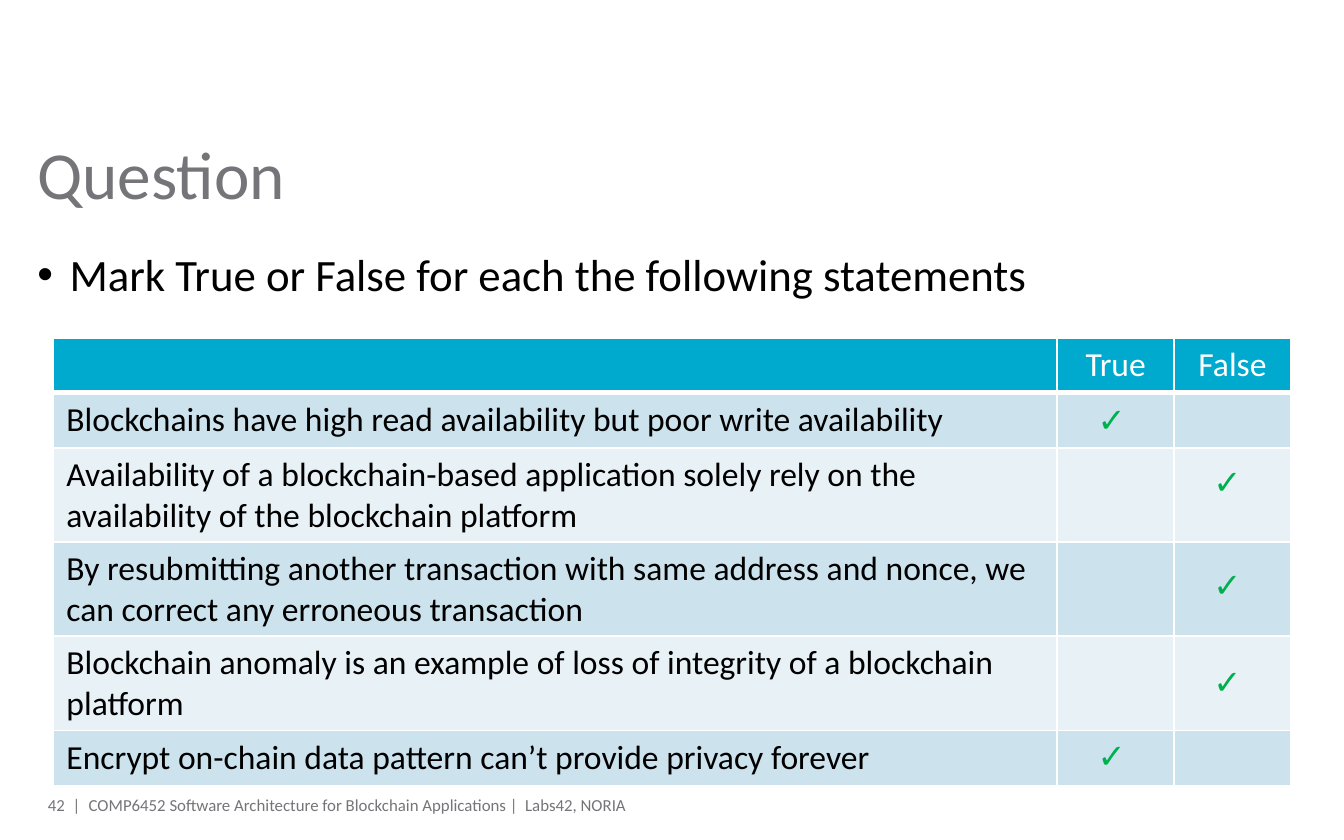
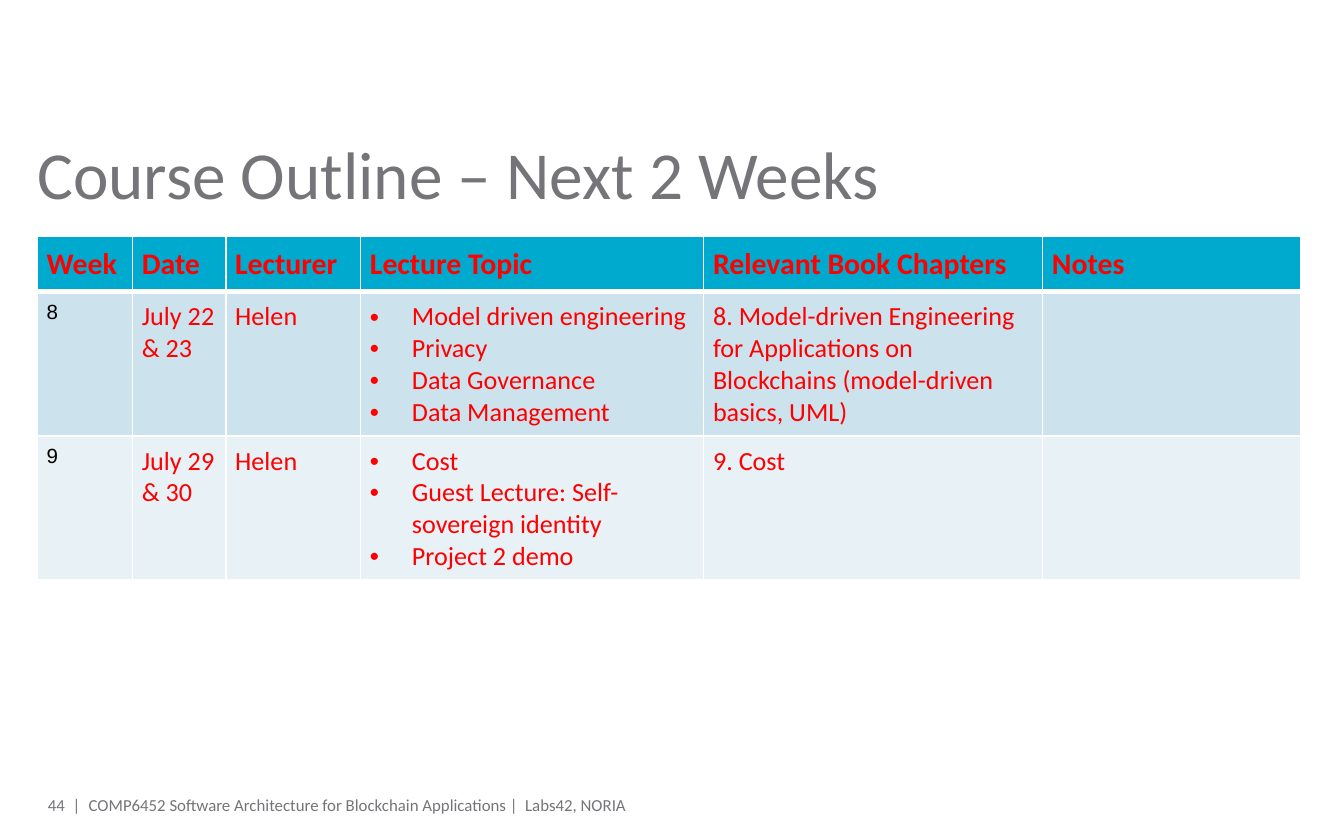
from dataclasses import dataclass

from lxml.etree import SubElement
from pptx import Presentation
from pptx.dml.color import RGBColor
from pptx.enum.text import MSO_ANCHOR, MSO_AUTO_SIZE, PP_ALIGN
from pptx.oxml.ns import qn
from pptx.util import Pt

GREY, BLACK, WHITE, RED, GREEN = "757579", "000000", "FFFFFF", "FF0000", "00B050"
HEADER_FILL = "00A9CE"
BAND_FILLS = ("CCE2ED", "E7F1F6")
FONT = "Calibri"
ROW_HEIGHT = 29.5
FOOTER = "COMP6452 Software Architecture for Blockchain Applications |  Labs42, NORIA"


@dataclass(frozen=True)
class Box:
    left: float
    top: float
    width: float
    height: float

    def lengths(self):
        return Pt(self.left), Pt(self.top), Pt(self.width), Pt(self.height)


@dataclass(frozen=True)
class Style:
    size: float = 18
    color: str = BLACK
    font: str = FONT
    bold: bool = False
    align: PP_ALIGN = PP_ALIGN.LEFT
    indent: float = 0


@dataclass(frozen=True)
class Tick:
    column: int
    top: float


TITLE_BOX = Box(20, 70.6, 680.4, 56.2)
PROMPT_BOX = Box(20, 135.4, 680.4, 56.2)
FOOTER_BOX = Box(47.5, 427, 478.8, 8)
NUMBER_BOX = Box(20, 427, 23, 8.6)

HEAD = Style(color=WHITE, align=PP_ALIGN.CENTER)
STATEMENT = Style()
OUTLINE_HEAD = Style(16, RED, bold=True)
WEEK = Style(11, font="Arial")
DETAIL = Style(14, RED)
TOPICS = Style(14, RED, indent=22.5)

STATEMENTS = (
    "Blockchains have high read availability but poor write availability",
    "Availability of a blockchain-based application solely rely on the "
    "availability of the blockchain platform",
    "By resubmitting another transaction with same address and nonce, "
    "we can correct any erroneous transaction",
    "Blockchain anomaly is an example of loss of integrity of a blockchain platform",
    "Encrypt on-chain data pattern can’t provide privacy forever",
)
TICKS = (Tick(0, 210.2), Tick(1, 243.4), Tick(1, 298.8), Tick(1, 350.6), Tick(0, 390.2))
TICK_LEFTS = (581, 643)

OUTLINE = (
    ("Week", "Date", "Lecturer", "Lecture Topic", "Relevant Book Chapters", "Notes"),
    ("8", "July 22 & 23", "Helen",
     "Model driven engineering\nPrivacy\nData Governance\nData Management",
     "8. Model-driven Engineering for Applications on Blockchains "
     "(model-driven basics, UML)", ""),
    ("9", "July 29 & 30", "Helen",
     "Cost\nGuest Lecture: Self-sovereign identity\nProject 2 demo", "9. Cost", ""),
)


def rgb(color: str) -> RGBColor:
    return RGBColor.from_string(color)


def set_bullet(p, indent: float):
    pPr = p._p.get_or_add_pPr()
    pPr.set("marL", str(Pt(indent)))
    pPr.set("indent", str(-Pt(indent)))
    SubElement(pPr, qn("a:buFont")).set("typeface", "Arial")
    SubElement(pPr, qn("a:buChar")).set("char", "•")


def write(tf, text: str, style: Style, *, margins=None, anchor=None,
          wrap=True, line_spacing=None, space_before=None):
    """Fill a text frame, one paragraph for each line of text."""
    tf.word_wrap = wrap
    if anchor is not None:
        tf.vertical_anchor = anchor
    if margins is not None:
        tf.margin_left = tf.margin_top = tf.margin_right = tf.margin_bottom = Pt(margins)
    for i, line in enumerate(text.split("\n")):
        p = tf.add_paragraph() if i else tf.paragraphs[0]
        p.alignment = style.align
        if line_spacing is not None:
            p.line_spacing = line_spacing
        if space_before is not None:
            p.space_before = Pt(space_before)
        if style.indent:
            set_bullet(p, style.indent)
        r = p.add_run()
        r.text = line
        r.font.name = style.font
        r.font.size = Pt(style.size)
        r.font.bold = style.bold
        r.font.color.rgb = rgb(style.color)


def add_text(s, box: Box, text: str, style: Style, **fmt):
    sp = s.shapes.add_textbox(*box.lengths())
    write(sp.text_frame, text, style, **fmt)
    return sp


def set_borders(cell, bottom: float):
    tcPr = cell._tc.get_or_add_tcPr()
    for side, width in (("L", 1), ("R", 1), ("T", 1), ("B", bottom)):
        ln = SubElement(tcPr, qn(f"a:ln{side}"))
        ln.set("w", str(Pt(width)))
        fill = SubElement(ln, qn("a:solidFill"))
        SubElement(fill, qn("a:srgbClr")).set("val", WHITE)


def add_table(s, box: Box, widths, rows, head: Style, body, margins=None):
    """Draw a banded table; body holds one style for each column."""
    frame = s.shapes.add_table(len(rows), len(widths), *box.lengths())
    table = frame.table
    for column, width in zip(table.columns, widths):
        column.width = Pt(width)
    for i, row in enumerate(rows):
        table.rows[i].height = Pt(ROW_HEIGHT)
        for j, text in enumerate(row):
            cell = table.cell(i, j)
            set_borders(cell, bottom=1 if i else 3)
            cell.fill.solid()
            cell.fill.fore_color.rgb = rgb(BAND_FILLS[(i - 1) % 2] if i else HEADER_FILL)
            if not text:
                continue
            write(cell.text_frame, text, body[j] if i else head)
            if margins is not None:
                cell.margin_left = cell.margin_right = Pt(margins)
                cell.margin_top = cell.margin_bottom = Pt(margins)
    frame.height = Pt(box.height)


def add_slide(prs, title: str, number: int):
    s = prs.slides.add_slide(prs.slide_layouts[5])
    sp = s.shapes.title
    sp.left, sp.top, sp.width, sp.height = TITLE_BOX.lengths()
    sp.text_frame.auto_size = MSO_AUTO_SIZE.NONE
    write(sp.text_frame, title, Style(36, GREY), margins=0, anchor=MSO_ANCHOR.TOP)
    for box, text, align in ((FOOTER_BOX, FOOTER, PP_ALIGN.LEFT),
                             (NUMBER_BOX, f"{number}  |", PP_ALIGN.RIGHT)):
        add_text(s, box, text, Style(9, GREY, align=align),
                 margins=0, anchor=MSO_ANCHOR.MIDDLE)
    return s


def add_question(prs):
    s = add_slide(prs, "Question", 42)
    add_text(s, PROMPT_BOX, "Mark True or False for each the following statements",
             Style(24, indent=17.3), margins=0, line_spacing=0.9, space_before=6)
    rows = [("", "True", "False")] + [(text, "", "") for text in STATEMENTS]
    add_table(s, Box(28.4, 181, 663.2, 239), (538, 62.6, 62.6), rows,
              HEAD, (STATEMENT,) * 3)
    tick_style = Style(18, GREEN, "Cabin", bold=True, align=PP_ALIGN.CENTER)
    for tick in TICKS:
        sp = add_text(s, Box(TICK_LEFTS[tick.column], tick.top, 28, 29), "✓",
                      tick_style, wrap=False)
        sp.text_frame.auto_size = MSO_AUTO_SIZE.SHAPE_TO_FIT_TEXT


def add_outline(prs):
    s = add_slide(prs, "Course Outline – Next 2 Weeks", 44)
    add_table(s, Box(20, 126.8, 676.8, 183.6), (51, 50, 72.2, 183.8, 181.6, 138.2),
              OUTLINE, OUTLINE_HEAD, (WEEK, DETAIL, DETAIL, TOPICS, DETAIL, DETAIL),
              margins=5)


def main():
    prs = Presentation()
    prs.slide_width, prs.slide_height = Pt(720), Pt(450)
    add_question(prs)
    add_outline(prs)
    prs.save("out.pptx")


if __name__ == "__main__":
    main()
